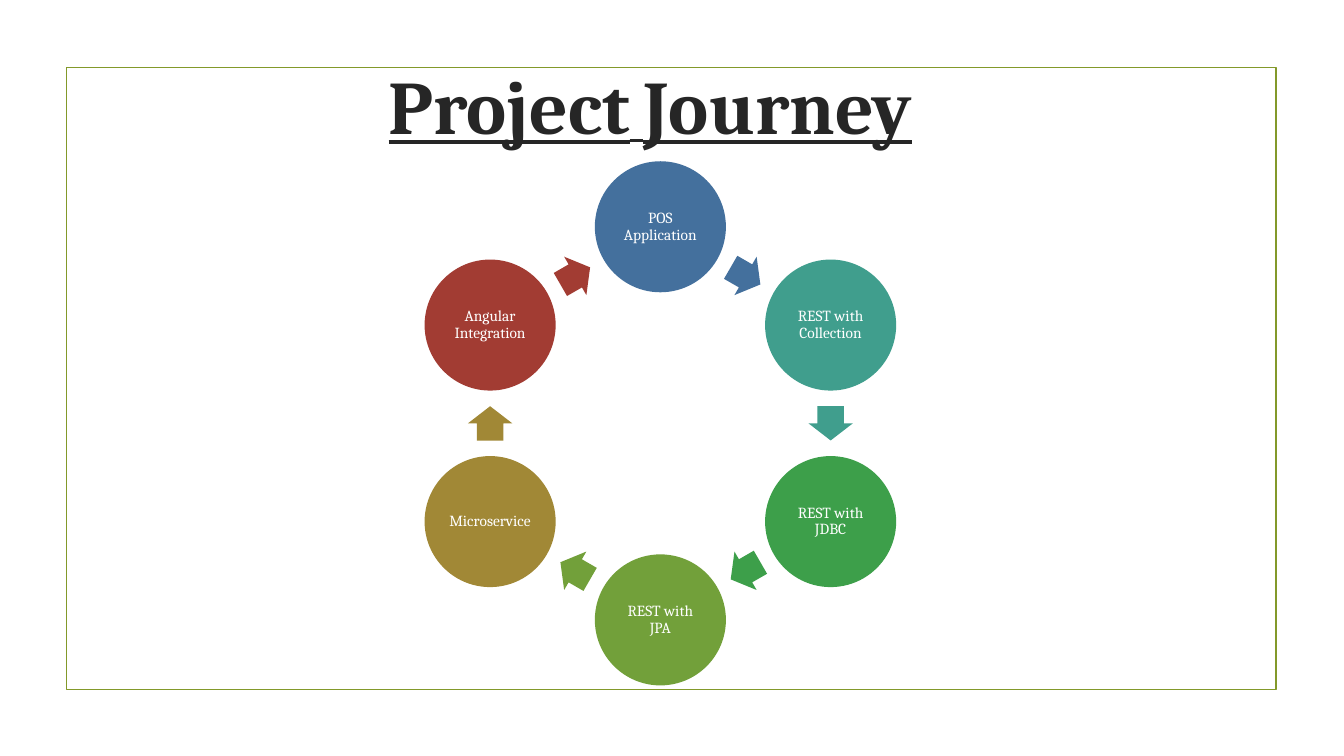
from math import cos, radians, sin

from pptx import Presentation
from pptx.dml.color import RGBColor
from pptx.enum.shapes import MSO_SHAPE
from pptx.enum.text import MSO_ANCHOR, PP_ALIGN
from pptx.util import Inches, Pt


def color(hex_code):
    return RGBColor.from_string(hex_code)


class JourneySlide:
    font = "Cambria"
    ink = "262626"
    frame_green = "83992A"
    label_white = "FFFFFF"

    def __init__(self, presentation):
        self.slide = presentation.slides.add_slide(presentation.slide_layouts[6])

    def shape(self, preset, left, top, width, height, fill=None):
        added = self.slide.shapes.add_shape(
            preset, Inches(left), Inches(top), Inches(width), Inches(height))
        added.shadow.inherit = False
        added.line.fill.background()
        if fill:
            added.fill.solid()
            added.fill.fore_color.rgb = color(fill)
        else:
            added.fill.background()
        return added

    def style(self, run, size, hex_code):
        run.font.name = self.font
        run.font.size = Pt(size)
        run.font.color.rgb = color(hex_code)

    def frame(self, left, top, width, height):
        border = self.shape(MSO_SHAPE.RECTANGLE, left, top, width, height)
        border.line.color.rgb = color(self.frame_green)
        border.line.width = Pt(1.25)

    def title(self, pieces, left, top, width, height):
        heading = self.slide.shapes.add_textbox(
            Inches(left), Inches(top), Inches(width), Inches(height)).text_frame
        heading.word_wrap = True
        heading.vertical_anchor = MSO_ANCHOR.MIDDLE
        line = heading.paragraphs[0]
        line.alignment = PP_ALIGN.CENTER
        for words, size in pieces:
            run = line.add_run()
            run.text = words
            self.style(run, size, self.ink)
            run.font.bold = True
            run.font.underline = True

    def step(self, label, fill, x, y, diameter):
        circle = self.shape(MSO_SHAPE.OVAL, x - diameter / 2, y - diameter / 2,
                            diameter, diameter, fill)
        content = circle.text_frame
        content.text = label
        content.word_wrap = True
        content.vertical_anchor = MSO_ANCHOR.MIDDLE
        content.margin_left = content.margin_right = Inches(0.02)
        content.margin_top = content.margin_bottom = Inches(0.02)
        line = content.paragraphs[0]
        line.alignment = PP_ALIGN.CENTER
        line.line_spacing = 0.9
        self.style(line.runs[0], 11, self.label_white)

    def arrow(self, fill, x, y, angle):
        width, height = 0.34, 0.44
        pointer = self.shape(MSO_SHAPE.RIGHT_ARROW, x - width / 2, y - height / 2,
                             width, height, fill)
        pointer.adjustments[0] = 0.6
        pointer.adjustments[1] = 0.5
        pointer.rotation = angle


STEPS = [
    ("POS Application", "44709D"),
    ("REST with Collection", "409E8D"),
    ("REST with JDBC", "3D9F4A"),
    ("REST with JPA", "72A03A"),
    ("Microservice", "A18836"),
    ("Angular Integration", "A23C33"),
]
CENTER_X, CENTER_Y = 6.55, 4.2
RING_RADIUS = 1.95
CIRCLE_DIAMETER = 1.3


def ring_point(angle, radius):
    return (CENTER_X + radius * cos(radians(angle)),
            CENTER_Y + radius * sin(radians(angle)))


def main():
    presentation = Presentation()
    presentation.slide_width = Inches(13.33)
    presentation.slide_height = Inches(7.5)
    journey = JourneySlide(presentation)
    journey.frame(0.66, 0.67, 12, 6.17)
    journey.title([("Project", 54), (" ", 44), ("Journey", 54)], 0.7, 0.31, 11.5, 1.45)

    turn = 360 / len(STEPS)
    arrow_radius = RING_RADIUS * cos(radians(turn / 2))
    for index, (label, fill) in enumerate(STEPS):
        angle = index * turn - 90
        journey.step(label, fill, *ring_point(angle, RING_RADIUS), CIRCLE_DIAMETER)
        halfway = angle + turn / 2
        journey.arrow(fill, *ring_point(halfway, arrow_radius), halfway + 90)

    presentation.save("out.pptx")


if __name__ == "__main__":
    main()
